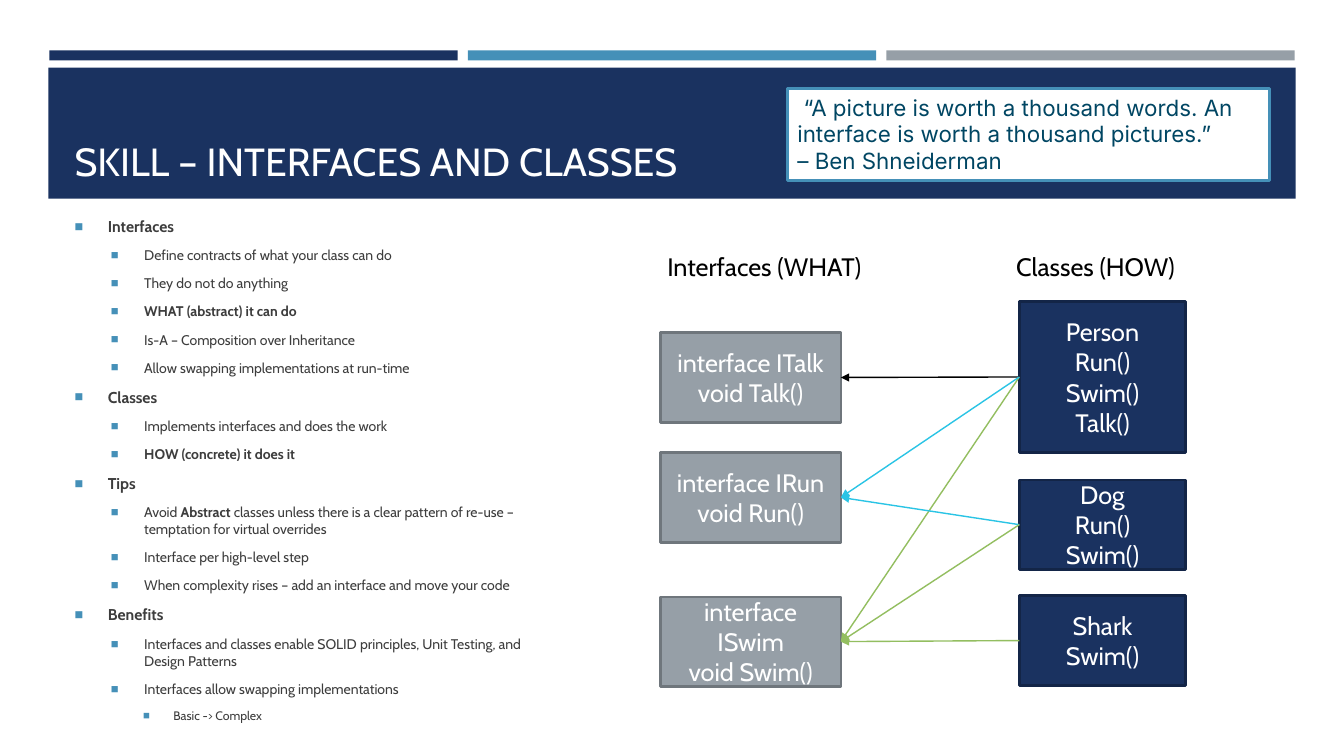
from lxml import etree
from pptx import Presentation
from pptx import util as u
from pptx.dml.color import RGBColor
from pptx.enum import shapes, text
from pptx.oxml import ns

PX = 9144  # EMU per px, 100 px to the inch
COLORS = {
    "navy": "1A3260", "navy_edge": "132547", "blue": "4590B8",
    "gray": "969FA7", "gray_edge": "6F767C", "white": "FFFFFF",
    "black": "000000", "body": "3D3D3D", "quote": "004663",
    "green": "93BE60", "cyan": "2AC4E5",
}
# (font size, left margin, hanging indent) for each list level
LEVELS = [(11.2, 33, 33), (10, 69, 33), (8.8, 98, 30)]

# Text between ** marks is bold
POINTS = [
    (0, "**Interfaces**"),
    (1, "Define contracts of what your class can do"),
    (1, "They do not do anything"),
    (1, "**WHAT (abstract) it can do**"),
    (1, "Is-A – Composition over Inheritance"),
    (1, "Allow swapping implementations at run-time"),
    (0, "**Classes**"),
    (1, "Implements interfaces and does the work"),
    (1, "**HOW (concrete) it does it**"),
    (0, "**Tips**"),
    (1, "Avoid **Abstract **classes unless there is a clear pattern of re-use – "
        "temptation for virtual overrides"),
    (1, "Interface per high-level step"),
    (1, "When complexity rises – add an interface and move your code"),
    (0, "**Benefits**"),
    (1, "Interfaces and classes enable SOLID principles, Unit Testing, and "
        "Design Patterns"),
    (1, "Interfaces allow swapping implementations"),
    (2, "Basic -> Complex"),
]
# name: (top, paragraphs)
INTERFACES = {
    "ITalk": (330, ["interface ITalk", "void Talk()"]),
    "IRun": (449, ["interface IRun", "void Run()"]),
    "ISwim": (592, ["interface ISwim", "void Swim()"]),
}
# name: (top, height, paragraphs); \v is a line break
CLASSES = {
    "Person": (299, 150, ["Person\vRun()\vSwim()", "Talk()"]),
    "Dog": (476, 89, ["Dog\vRun()\vSwim()"]),
    "Shark": (591, 89, ["Shark", "Swim()"]),
}
IMPLEMENTS = [
    ("Shark", "ISwim", "green"), ("Person", "ISwim", "green"),
    ("Person", "ITalk", "black"), ("Person", "IRun", "cyan"),
    ("Dog", "IRun", "cyan"), ("Dog", "ISwim", "green"),
]


def rgb(name):
    return RGBColor.from_string(COLORS[name])


def write(p, content, size=18, color="black", font="Cabin", align="LEFT"):
    """Fill a paragraph; ** toggles bold and \\v breaks the line."""
    p.alignment = getattr(text.PP_ALIGN, align)
    for i, part in enumerate(content.split("**")):
        for j, line in enumerate(part.split("\v")):
            if j:
                p.add_line_break()
            if line:
                r = p.add_run()
                r.text = line
                r.font.name, r.font.size = font, u.Pt(size)
                r.font.bold = i % 2 == 1
                r.font.color.rgb = rgb(color)


class Deck:
    def __init__(self, width, height):
        self.prs = Presentation()
        self.prs.slide_width, self.prs.slide_height = width * PX, height * PX
        self.s = self.prs.slides.add_slide(self.prs.slide_layouts[1])

    def place(self, sp, x, y, w, h):
        sp.left, sp.top, sp.width, sp.height = (v * PX for v in (x, y, w, h))

    def fill_text(self, tf, lines, **fmt):
        for i, line in enumerate(lines):
            write(tf.add_paragraph() if i else tf.paragraphs[0], line, **fmt)

    def box(self, x, y, w, h, fill, edge=None, lines=(), anchor="MIDDLE", **fmt):
        sp = self.s.shapes.add_shape(shapes.MSO_SHAPE.RECTANGLE,
                                     *(v * PX for v in (x, y, w, h)))
        sp.shadow.inherit = False
        sp.fill.solid()
        sp.fill.fore_color.rgb = rgb(fill)
        if edge:
            sp.line.color.rgb, sp.line.width = rgb(edge), u.Pt(1.75)
        else:
            sp.line.fill.background()
        tf = sp.text_frame
        tf.word_wrap = True
        tf.vertical_anchor = getattr(text.MSO_ANCHOR, anchor)
        self.fill_text(tf, lines, **fmt)
        return sp

    def label(self, x, y, w, h, content):
        sp = self.s.shapes.add_textbox(*(v * PX for v in (x, y, w, h)))
        sp.text_frame.word_wrap = False
        self.fill_text(sp.text_frame, [content])

    def arrow(self, start, end, color):
        c = self.s.shapes.add_connector(shapes.MSO_CONNECTOR.STRAIGHT, 0, 0, 0, 0)
        c.begin_connect(start, 1)
        c.end_connect(end, 3)
        c.line.color.rgb, c.line.width = rgb(color), u.Pt(1)
        ln = c.line.fill and c.element.spPr.find(ns.qn("a:ln"))
        etree.SubElement(ln, ns.qn("a:tailEnd"), type="triangle")
        etree.SubElement(c.element.spPr, ns.qn("a:effectLst"))

    def title(self, x, y, w, h, content):
        sp = self.s.shapes.title
        self.s.shapes.element.append(sp.element)  # bring in front of the band
        self.place(sp, x, y, w, h)
        sp.text_frame.vertical_anchor = text.MSO_ANCHOR.BOTTOM
        sp.text_frame.auto_size = text.MSO_AUTO_SIZE.NONE
        self.fill_text(sp.text_frame, [content], size=28, color="white")

    def bullets(self, x, y, w, h, points):
        sp = self.s.placeholders[1]
        self.place(sp, x, y, w, h)
        tf = sp.text_frame
        tf.vertical_anchor = text.MSO_ANCHOR.MIDDLE
        tf.auto_size = text.MSO_AUTO_SIZE.NONE
        tf.margin_bottom = 21 * PX
        for i, (level, content) in enumerate(points):
            size, left, hang = LEVELS[level]
            p = tf.add_paragraph() if i else tf.paragraphs[0]
            p.level = level
            pPr = p._p.get_or_add_pPr()
            pPr.set("marL", str(left * PX))
            pPr.set("indent", str(-hang * PX))
            clr = etree.SubElement(pPr, ns.qn("a:buClr"))
            etree.SubElement(clr, ns.qn("a:srgbClr"), val=COLORS["blue"])
            etree.SubElement(pPr, ns.qn("a:buSzPct"), val="92000")
            etree.SubElement(pPr, ns.qn("a:buChar"), char="■")
            p.space_before = u.Pt(size * 0.2 if i else 0)
            p.space_after = u.Pt(6)
            write(p, content, size=size, color="body")


def main():
    d = Deck(1333, 750)

    # Header: three stripes, band, title
    for i, color in enumerate(["navy", "blue", "gray"]):
        d.box(49 + 415 * i, 50, 405, 10, color)
    d.box(48, 67, 1237, 130, "navy")
    d.title(64, 77, 1206, 111, "SKILL – INTERFACES AND CLASSES")

    # Bullet list
    d.bullets(64, 238, 481, 472, POINTS)

    # Diagram boxes
    fmt = dict(color="white", align="CENTER")
    nodes = {}
    for name, (y, lines) in INTERFACES.items():
        nodes[name] = d.box(655, y, 179, 89, "gray", "gray_edge", lines, **fmt)
    for name, (y, h, lines) in CLASSES.items():
        nodes[name] = d.box(1011, y, 165, h, "navy", "navy_edge", lines, **fmt)

    # Arrows from each class to the interfaces it implements
    for cls, interface, color in IMPLEMENTS:
        d.arrow(nodes[cls], nodes[interface], color)

    # Column headings
    d.label(652, 244, 217, 40, "Interfaces (WHAT)")
    d.label(998, 244, 183, 40, "Classes (HOW)")

    # Quote
    d.box(781, 88, 478, 91, "white", "blue",
          [" “A picture is worth a thousand words. An interface is worth "
           "a thousand pictures.”", "– Ben Shneiderman"],
          anchor="TOP", size=16, color="quote", font="Inter")

    d.prs.save("out.pptx")


if __name__ == "__main__":
    main()
